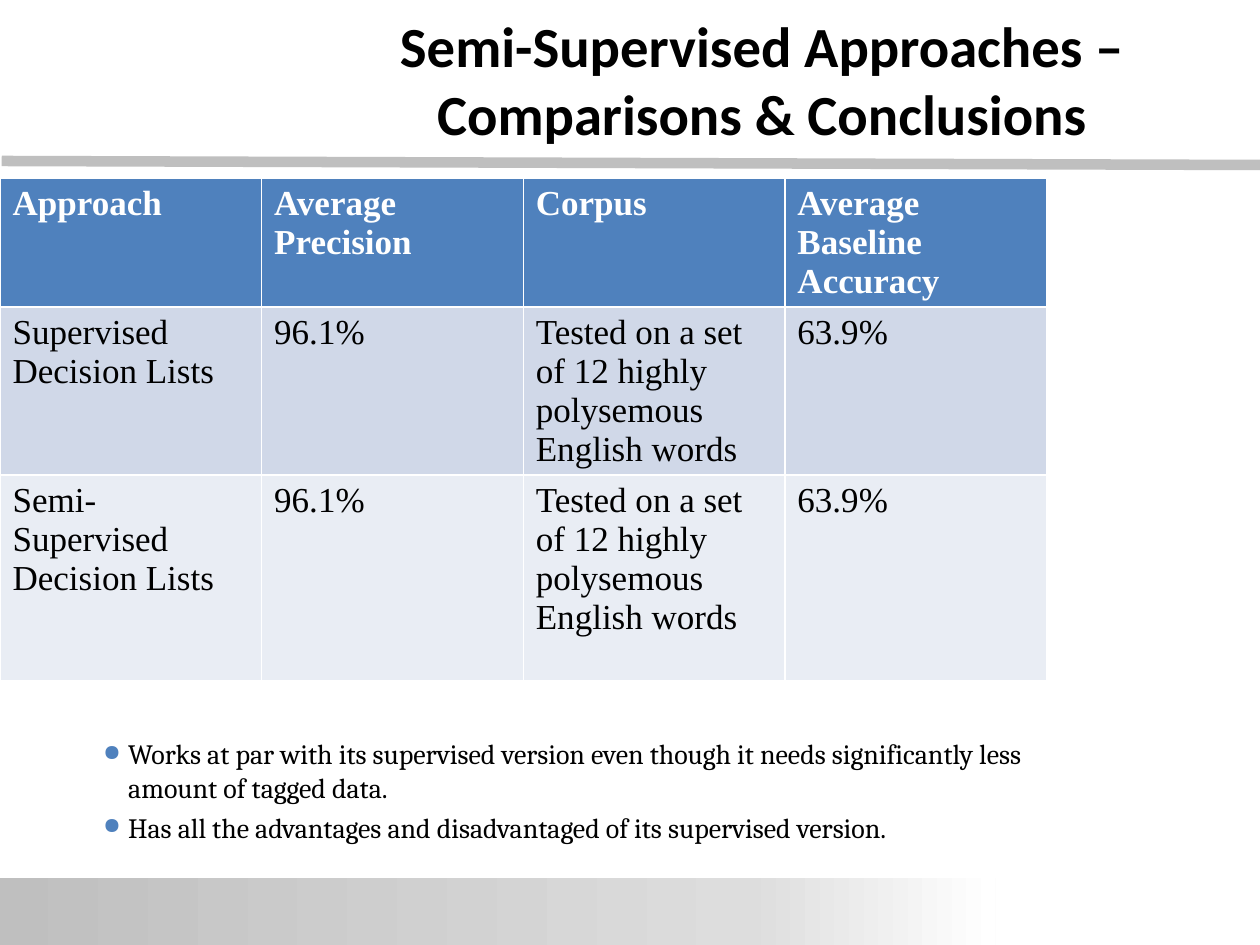
import copy

import pptx
import pptx.dml.color
import pptx.enum.shapes
import pptx.enum.text
import pptx.oxml
import pptx.oxml.ns
import pptx.util
from pptx.util import Pt

RGBColor = pptx.dml.color.RGBColor
BLACK = RGBColor(0x00, 0x00, 0x00)
WHITE = RGBColor(0xFF, 0xFF, 0xFF)
GREY = RGBColor(0xBF, 0xBF, 0xBF)
LIGHT_GREY = RGBColor(0xDD, 0xDD, 0xDD)
BLUE = RGBColor(0x4F, 0x81, 0xBD)
BAND_DARK = RGBColor(0xD0, 0xD8, 0xE8)
BAND_LIGHT = RGBColor(0xE9, 0xED, 0xF4)
qn = pptx.oxml.ns.qn
NS = pptx.oxml.ns.nsdecls("a")


def set_font(font, name, size, color, bold=False):
    font.name, font.size, font.bold = name, Pt(size), bold
    font.color.rgb = color


prs = pptx.Presentation()
prs.slide_width, prs.slide_height = Pt(720), Pt(540)
s = prs.slides.add_slide(prs.slide_layouts[5])

rule = s.shapes.add_connector(
    pptx.enum.shapes.MSO_CONNECTOR.STRAIGHT, Pt(1), Pt(92), Pt(721), Pt(94.3))
rule.line.color.rgb = GREY
rule.line.width = Pt(6)
rule._element.spPr.append(pptx.oxml.parse_xml(f"<a:effectLst {NS}/>"))

footer = s.shapes.add_shape(
    pptx.enum.shapes.MSO_SHAPE.RECTANGLE, Pt(-1), Pt(502), Pt(570), Pt(41))
footer.shadow.inherit = False
footer.line.fill.background()
footer.fill.gradient()
footer.fill.gradient_angle = 0
stops = footer._element.spPr.find(".//" + qn("a:gsLst"))
stops.insert(1, copy.deepcopy(stops[0]))
for stop, (position, color) in zip(
        footer.fill.gradient_stops, [(0, GREY), (0.75, LIGHT_GREY), (1, WHITE)]):
    stop.position = position
    stop.color.rgb = color

rows = [
    ["Approach", "Average Precision", "Corpus", "Average Baseline Accuracy"],
    ["Supervised\nDecision Lists", "96.1%",
     "Tested on a set of 12 highly\npolysemous English words", "63.9%"],
    ["Semi-Supervised\nDecision Lists", "96.1%",
     "Tested on a set of 12 highly\npolysemous English words", "63.9%"],
]
heights = [73, 96, 117.7]
fills = [BLUE, BAND_DARK, BAND_LIGHT]
table = s.shapes.add_table(3, 4, Pt(0), Pt(101.6), Pt(598), Pt(sum(heights))).table
for column in table.columns:
    column.width = Pt(149.5)
for i, (texts, height, fill) in enumerate(zip(rows, heights, fills)):
    table.rows[i].height = Pt(height)
    for cell, text in zip(table.rows[i].cells, texts):
        cell.fill.solid()
        cell.fill.fore_color.rgb = fill
        cell.text_frame.text = text
        for p in cell.text_frame.paragraphs:
            for r in p.runs:
                set_font(r.font, "Times New Roman", 20, WHITE if i == 0 else BLACK, i == 0)

title = s.shapes.title
title.left, title.top, title.width, title.height = Pt(184), Pt(0), Pt(503), Pt(90)
tf = title.text_frame
tf.text = "Semi-Supervised Approaches – Comparisons & Conclusions"
tf.vertical_anchor = pptx.enum.text.MSO_ANCHOR.MIDDLE
p = tf.paragraphs[0]
p.alignment = pptx.enum.text.PP_ALIGN.CENTER
set_font(p.runs[0].font, "Calibri", 32.4, BLACK, True)

tf = s.shapes.add_textbox(Pt(51.8), Pt(417.6), Pt(580), Pt(73)).text_frame
tf.word_wrap = True
tf.text = (
    "Works at par with its supervised version even though it needs "
    "significantly less amount of tagged data.\n"
    "Has all the advantages and disadvantaged of its supervised version.")
for i, p in enumerate(tf.paragraphs):
    pPr = p._p.get_or_add_pPr()
    pPr.set("marL", str(Pt(14.4)))
    pPr.set("indent", str(-Pt(14.4)))
    for xml in (f'<a:buClr {NS}><a:srgbClr val="{BLUE}"/></a:buClr>',
                f'<a:buSzPct {NS} val="80000"/>',
                f'<a:buChar {NS} char="●"/>'):
        pPr.append(pptx.oxml.parse_xml(xml))
    if i:
        p.space_before = Pt(3.4)
    set_font(p.runs[0].font, "Cambria", 16, BLACK)

prs.save("out.pptx")
